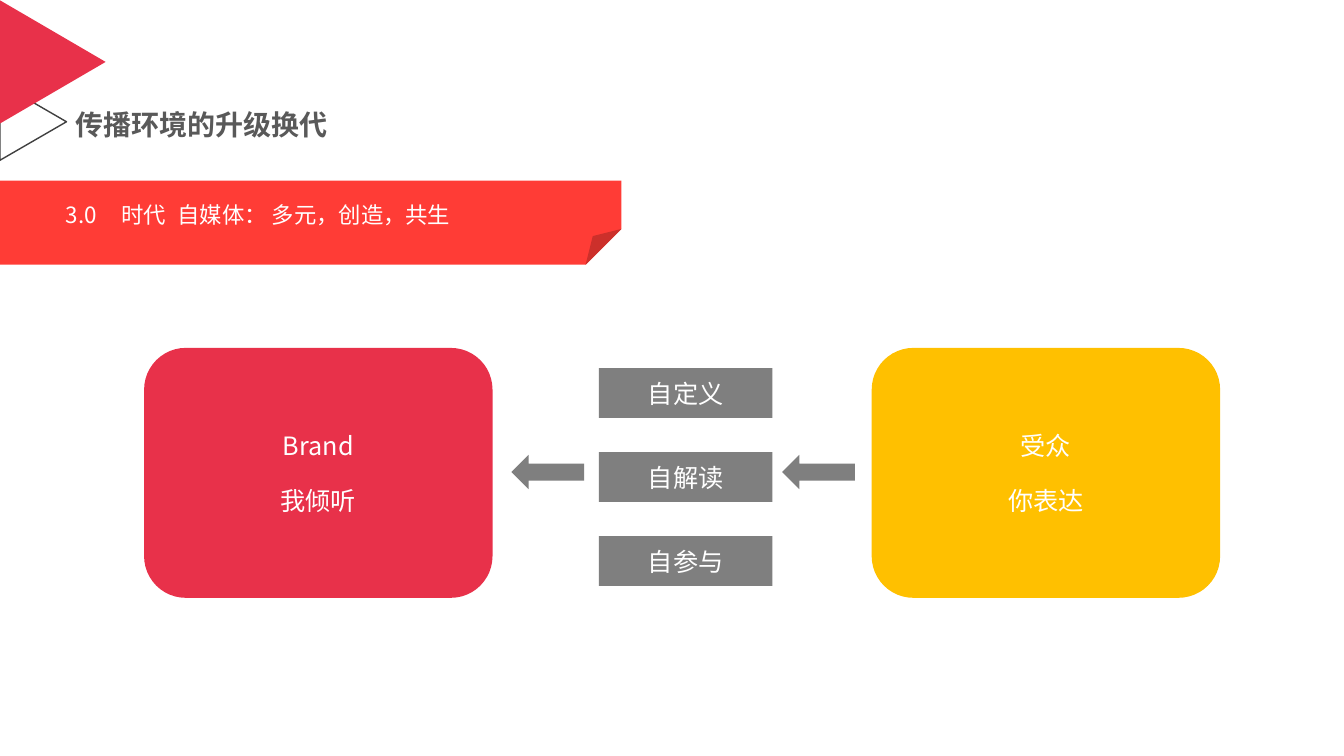
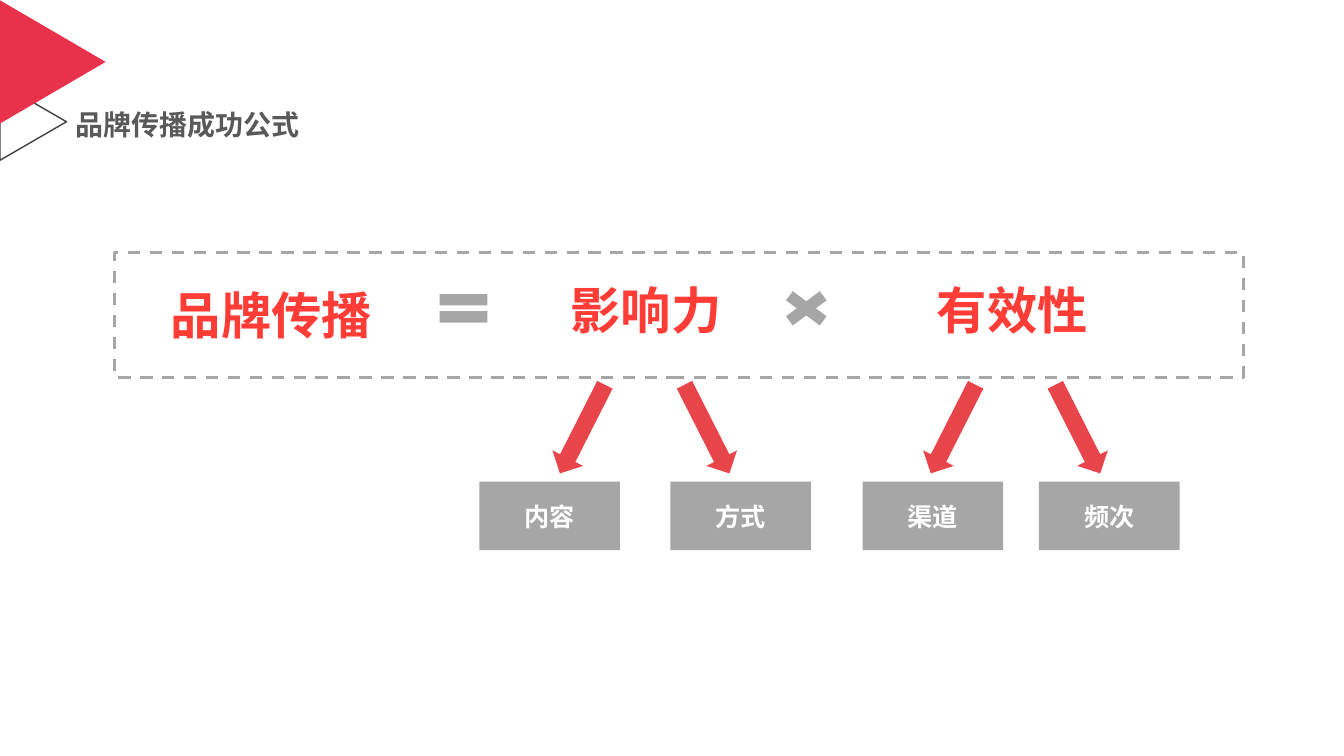
"""Build two slides on brand communication."""
import pptx
import pptx.dml.color
import pptx.enum.dml
import pptx.enum.shapes
import pptx.enum.text
import pptx.oxml.ns
import pptx.util
from lxml import etree

Pt = pptx.util.Pt
SHAPE = pptx.enum.shapes.MSO_SHAPE
ALIGN = pptx.enum.text.PP_ALIGN
ANCHOR = pptx.enum.text.MSO_ANCHOR
AUTO = pptx.enum.text.MSO_AUTO_SIZE
qn = pptx.oxml.ns.qn

FONT = "Noto Sans CJK SC"
CRIMSON = "E8314A"
RED = "FF3C36"
ARROW_RED = "E8454A"
AMBER = "FFC000"
DARK = "404040"
TITLE = "595959"
GRAY = "7F7F7F"
SILVER = "A6A6A6"
WHITE = "FFFFFF"


def rgb(value):
    """Turn a hex string into a colour."""
    return pptx.dml.color.RGBColor.from_string(value)


def set_text(tf, text, size, color, bold=False, align=ALIGN.LEFT, gap=0):
    """Write text and format its paragraphs and runs."""
    tf.text = text
    for i, p in enumerate(tf.paragraphs):
        p.alignment = align
        if i and gap:
            p.space_before = Pt(gap)
        for r in p.runs:
            r.font.size = Pt(size)
            r.font.bold = bold
            r.font.name = FONT
            r.font.color.rgb = rgb(color)
            ea = etree.SubElement(r._r.get_or_add_rPr(), qn("a:ea"))
            ea.set("typeface", FONT)


def add_shape(s, kind, x, y, w, h, fill=None, line=None, width=1, rot=0):
    """Add a preset shape with a plain fill or outline."""
    sp = s.shapes.add_shape(kind, Pt(x), Pt(y), Pt(w), Pt(h))
    sp.shadow.inherit = False
    sp.rotation = rot
    if fill:
        sp.fill.solid()
        sp.fill.fore_color.rgb = rgb(fill)
    else:
        sp.fill.background()
    if line:
        sp.line.color.rgb = rgb(line)
        sp.line.width = Pt(width)
    else:
        sp.line.fill.background()
    return sp


def set_fold(sp, share):
    """Set the fold size of a folded corner shape."""
    guides = sp._element.spPr.find(qn("a:prstGeom")).get_or_add_avLst()
    etree.SubElement(guides, qn("a:gd"), name="adj",
                     fmla=f"val {round(share * 100000)}")


def add_box(s, kind, x, y, w, h, fill, text, bold=False, gap=0):
    """Add a filled shape with centred white text."""
    sp = add_shape(s, kind, x, y, w, h, fill)
    tf = sp.text_frame
    tf.word_wrap = True
    tf.vertical_anchor = ANCHOR.MIDDLE
    set_text(tf, text, 18, WHITE, bold, ALIGN.CENTER, gap)


def add_label(s, x, y, w, h, text, size, color, bold=False, wrap=False):
    """Add a text box that grows with its text and return its frame."""
    tf = s.shapes.add_textbox(Pt(x), Pt(y), Pt(w), Pt(h)).text_frame
    tf.word_wrap = wrap
    tf.auto_size = AUTO.SHAPE_TO_FIT_TEXT
    set_text(tf, text, size, color, bold)
    return tf


def add_tabs(p, stops):
    """Give a paragraph left tab stops."""
    tabs = etree.SubElement(p._p.get_or_add_pPr(), qn("a:tabLst"))
    for stop in stops:
        etree.SubElement(tabs, qn("a:tab"), pos=str(int(Pt(stop))), algn="l")


def add_slide(prs, title, width):
    """Add a slide with the corner triangles and a title."""
    s = prs.slides.add_slide(prs.slide_layouts[6])
    triangle = SHAPE.ISOSCELES_TRIANGLE
    add_shape(s, triangle, -3.75, 63.25, 55, 47.5, line=DARK, rot=90)
    add_shape(s, triangle, -6.25, 6.5, 88, 75.5, CRIMSON, rot=90)
    tf = add_label(s, 50.5, 75.5, width, 29.5, title, 20, TITLE, True)
    tf.margin_left = tf.margin_right = Pt(3.6)
    tf.vertical_anchor = ANCHOR.MIDDLE
    tf.paragraphs[0].line_spacing = 0.9
    return s


def build_era(prs):
    """Show the audience speaking and the brand listening."""
    s = add_slide(prs, "传播环境的升级换代", 189.5)
    banner = add_shape(s, SHAPE.FOLDED_CORNER, 0, 129, 444, 60, RED)
    set_fold(banner, 0.424)
    tf = add_label(s, 42, 140.5, 576, 25, "3.0\t时代\t自媒体： 多元，创造，共生",
                   16, WHITE, wrap=True)
    tf.margin_left = tf.margin_right = Pt(5)
    tf.margin_top = tf.margin_bottom = Pt(2.9)
    add_tabs(tf.paragraphs[0], (40, 80))

    for x, fill, text in ((103, CRIMSON, "Brand\n我倾听"),
                          (623, AMBER, "受众\n你表达")):
        add_box(s, SHAPE.ROUNDED_RECTANGLE, x, 248.5, 249, 178.5, fill, text,
                gap=18)
    for i, text in enumerate(("自定义", "自解读", "自参与")):
        add_box(s, SHAPE.RECTANGLE, 428, 263 + 60 * i, 124, 35.5, GRAY, text)
    for x in (365.5, 559):
        add_shape(s, SHAPE.LEFT_ARROW, x, 325, 52, 24.5, GRAY)


def build_formula(prs):
    """Show the formula and the parts of its two factors."""
    s = add_slide(prs, "品牌传播成功公式", 169)
    frame = add_shape(s, SHAPE.RECTANGLE, 82, 180.5, 806.5, 89,
                      line=SILVER, width=2.25)
    frame.line.dash_style = pptx.enum.dml.MSO_LINE.DASH

    for x, y, w, text in ((115, 199.5, 160, "品牌传播"),
                          (400.5, 196, 124, "影响力"),
                          (662.5, 196, 124, "有效性")):
        add_label(s, x, y, w, 51, text, 36, RED, True)
    for x, sign in ((308, SHAPE.MATH_EQUAL), (553, SHAPE.MATH_MULTIPLY)):
        add_shape(s, sign, x, 203, 46.5, 34.5, SILVER)

    for x in (404, 669):
        for dx, rot in ((0, 26.9), (89, -26.9)):
            add_shape(s, SHAPE.DOWN_ARROW, x + dx, 271, 24.5, 71, ARROW_RED,
                      rot=rot)
    for x, text in ((342.5, "内容"), (479, "方式"),
                    (616.5, "渠道"), (742.5, "频次")):
        add_box(s, SHAPE.RECTANGLE, x, 344, 100.5, 49, SILVER, text, True)


def main():
    """Build and save the presentation."""
    prs = pptx.Presentation()
    prs.slide_width, prs.slide_height = Pt(960.5), Pt(540)
    build_era(prs)
    build_formula(prs)
    prs.save("out.pptx")


if __name__ == "__main__":
    main()
